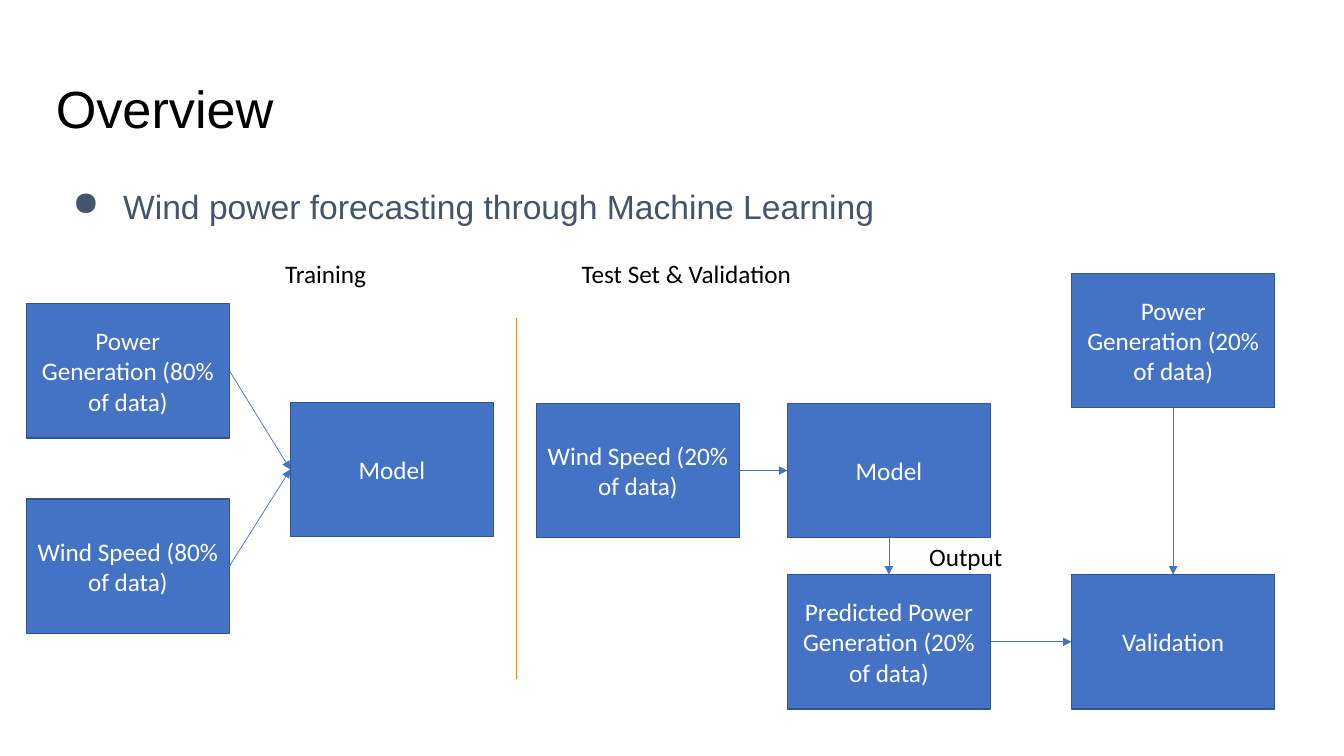
from dataclasses import dataclass

from lxml.etree import SubElement
from pptx import Presentation
from pptx.dml.color import RGBColor as Rgb
from pptx.enum.shapes import MSO_CONNECTOR as Connector, MSO_SHAPE as Shape
from pptx.enum.text import MSO_ANCHOR as Anchor, MSO_AUTO_SIZE as AutoSize, PP_ALIGN as Align
from pptx.oxml.ns import qn
from pptx.util import Inches, Pt

SLIDE_WIDTH, SLIDE_HEIGHT = Inches(13.33), Inches(7.5)
COLUMN, ROW = SLIDE_WIDTH / 100, SLIDE_HEIGHT / 100
STEP_SIZE = (15.12, 17.8)
LABEL_HEIGHT = 5.33
TOP, LEFT, BOTTOM, RIGHT = range(4)


@dataclass(frozen=True)
class Theme:
    """Colours, fonts and point sizes of the slide."""
    ink: str = "000000"
    slate: str = "44546A"
    paper: str = "FFFFFF"
    step: str = "4472C4"
    step_edge: str = "325491"
    divider: str = "ED7D31"
    heading_font: str = "Arial"
    diagram_font: str = "Calibri"
    title_size: float = 37.3
    bullet_size: float = 24
    diagram_size: float = 18
    edge_width: float = 1
    line_width: float = 0.5


THEME = Theme()


@dataclass(frozen=True)
class Box:
    """A region measured in hundredths of the slide's width and height."""
    left: float
    top: float
    width: float
    height: float

    def inner(self, column, row, width, height):
        """Return a box placed relative to this one."""
        return Box(self.left + column, self.top + row, width, height)

    def emu(self):
        """Return left, top, width and height in EMU."""
        return (round(self.left * COLUMN), round(self.top * ROW),
                round(self.width * COLUMN), round(self.height * ROW))


def write(frame, text, *, size=THEME.diagram_size, font=THEME.diagram_font,
          color=THEME.ink, align=Align.LEFT, anchor=Anchor.TOP, inset=None,
          fit=AutoSize.NONE):
    """Write one formatted paragraph into a text frame and return it."""
    frame.word_wrap = True
    frame.auto_size = fit
    frame.vertical_anchor = anchor
    if inset is not None:
        frame.margin_left = frame.margin_right = Inches(inset)
        frame.margin_top = frame.margin_bottom = Inches(inset)
    paragraph = frame.paragraphs[0]
    paragraph.alignment = align
    run = paragraph.add_run()
    run.text = text
    run.font.size = Pt(size)
    run.font.name = font
    run.font.color.rgb = Rgb.from_string(color)
    return paragraph


def add_label(slide, box, text):
    """Add a plain caption to the diagram."""
    caption = slide.shapes.add_textbox(*box.emu())
    write(caption.text_frame, text, fit=AutoSize.SHAPE_TO_FIT_TEXT)


def add_step(slide, region, column, row, text):
    """Add one process rectangle at a place in its region."""
    step = slide.shapes.add_shape(Shape.RECTANGLE, *region.inner(column, row, *STEP_SIZE).emu())
    step.shadow.inherit = False
    step.fill.solid()
    step.fill.fore_color.rgb = Rgb.from_string(THEME.step)
    step.line.color.rgb = Rgb.from_string(THEME.step_edge)
    step.line.width = Pt(THEME.edge_width)
    write(step.text_frame, text, color=THEME.paper, align=Align.CENTER, anchor=Anchor.MIDDLE)
    return step


def add_line(slide, color, start=(0, 0), end=(0, 0)):
    """Add a thin straight line without a shadow."""
    line = slide.shapes.add_connector(Connector.STRAIGHT, *start, *end)
    line.line.color.rgb = Rgb.from_string(color)
    line.line.width = Pt(THEME.line_width)
    SubElement(line._element.spPr, qn("a:effectLst"))
    return line


def add_arrow(slide, source, source_side, target, target_side):
    """Join the sides of two steps with an arrow."""
    arrow = add_line(slide, THEME.step)
    arrow.begin_connect(source, source_side)
    arrow.end_connect(target, target_side)
    SubElement(arrow.line._get_or_add_ln(), qn("a:tailEnd"), type="triangle")


def add_title(slide, box, text):
    """Place and format the title placeholder."""
    title = slide.shapes.title
    title.left, title.top, title.width, title.height = box.emu()
    write(title.text_frame, text, size=THEME.title_size, font=THEME.heading_font,
          anchor=Anchor.MIDDLE, inset=0.1)


def add_bullet(slide, box, text):
    """Add the bulleted summary below the title."""
    summary = slide.shapes.add_textbox(*box.emu())
    paragraph = write(summary.text_frame, text, size=THEME.bullet_size,
                      font=THEME.heading_font, color=THEME.slate, inset=0.1)
    paragraph.line_spacing = 1.15
    properties = paragraph._p.get_or_add_pPr()
    properties.set("marL", str(Inches(0.67)))
    properties.set("indent", str(Inches(-0.5)))
    bullet_color = SubElement(properties, qn("a:buClr"))
    SubElement(bullet_color, qn("a:srgbClr"), val=THEME.slate)
    SubElement(properties, qn("a:buChar"), char="●")


def add_training(slide, region):
    """Draw the flow that trains the model."""
    add_label(slide, region.inner(18.53, 0, 9.83, LABEL_HEIGHT), "Training")
    power = add_step(slide, region, 0, 6.67, "Power Generation (80% of data)")
    wind = add_step(slide, region, 0, 32.53, "Wind Speed (80% of data)")
    model = add_step(slide, region, 19.65, 19.73, "Model")
    for measurement in (power, wind):
        add_arrow(slide, measurement, RIGHT, model, LEFT)


def add_divider(slide, box):
    """Separate the two flows with a vertical line."""
    left, top, _, height = box.emu()
    add_line(slide, THEME.divider, (left, top), (left, top + height))


def add_testing(slide, region):
    """Draw the flow that tests and validates the model."""
    model_column, check_column = 18.68, 39.83
    model_row, result_row = 19.87, 42.53
    add_label(slide, region.inner(2.63, 0, 21.83, LABEL_HEIGHT), "Test Set & Validation")
    add_label(slide, region.inner(28.5, 37.47, 8.93, LABEL_HEIGHT), "Output")
    wind = add_step(slide, region, 0, model_row, "Wind Speed (20% of data)")
    model = add_step(slide, region, model_column, model_row, "Model")
    predicted = add_step(slide, region, model_column, result_row,
                         "Predicted Power Generation (20% of data)")
    power = add_step(slide, region, check_column, 2.67, "Power Generation (20% of data)")
    validation = add_step(slide, region, check_column, result_row, "Validation")
    add_arrow(slide, wind, RIGHT, model, LEFT)
    add_arrow(slide, model, BOTTOM, predicted, TOP)
    add_arrow(slide, power, BOTTOM, validation, TOP)
    add_arrow(slide, predicted, RIGHT, validation, LEFT)


def main():
    """Build and save the overview slide."""
    deck = Presentation()
    deck.slide_width, deck.slide_height = SLIDE_WIDTH, SLIDE_HEIGHT
    slide = deck.slides.add_slide(deck.slide_layouts[5])
    add_title(slide, Box(3.4, 8.67, 93.2, 11.2), "Overview")
    add_bullet(slide, Box(3.4, 22.4, 93.2, 12.4),
               "Wind power forecasting through Machine Learning")
    add_training(slide, Box(1.95, 33.47, 34.77, 50.33))
    add_divider(slide, Box(38.4, 42.13, 0, 47.73))
    add_testing(slide, Box(39.9, 33.47, 54.95, 60.33))
    deck.save("out.pptx")


if __name__ == "__main__":
    main()
